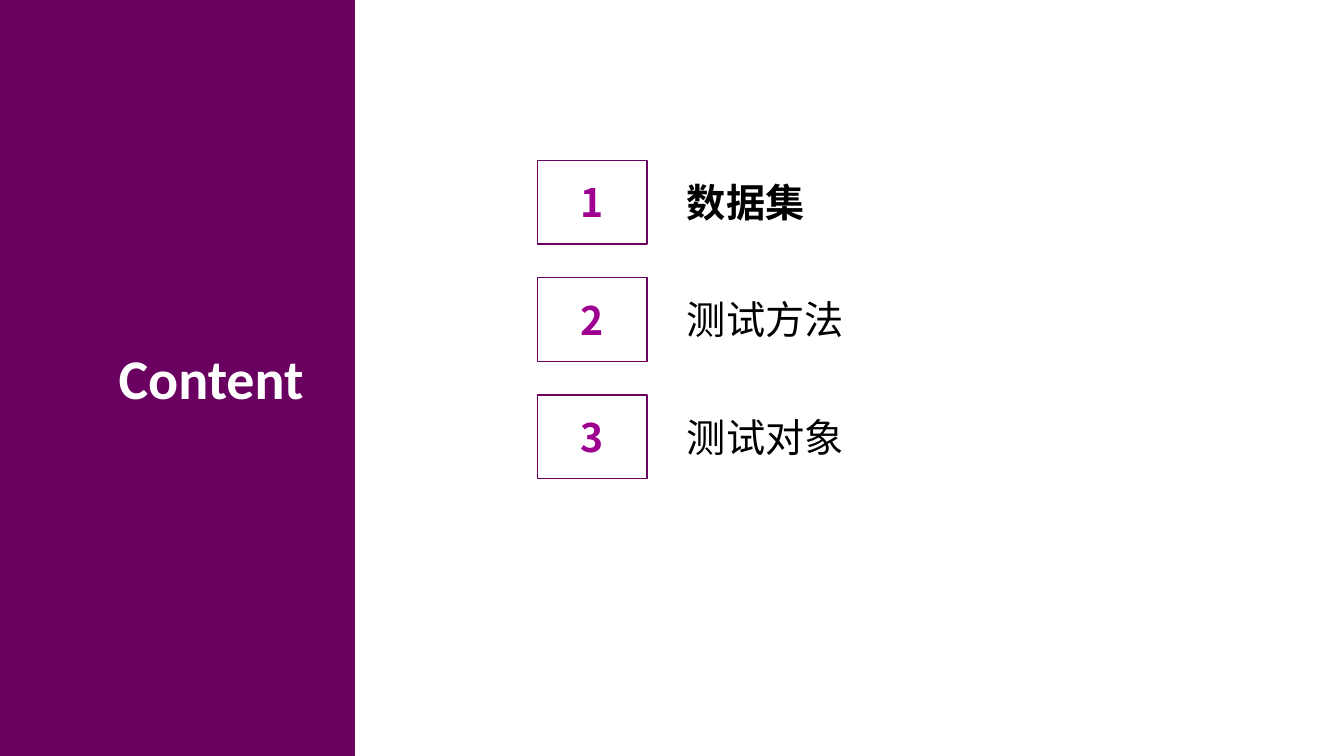
from lxml import etree
from pptx import Presentation
from pptx import util as u
from pptx.dml.color import RGBColor
from pptx.enum import shapes, text
from pptx.oxml import ns

HEADING = "Content"
TOPICS = [("数据集", True), ("测试方法", False), ("测试对象", False)]

THEME = {
    "panel": "6A005F", "number": "9E008F", "topic": "000000", "heading": "FFFFFF",
    "latin": "Calibri", "cjk": "Noto Sans CJK SC",
    "heading_size": 40, "topic_size": 28,
}
SLIDE_W, SLIDE_H = 960, 540
PANEL_W = 253.5
BOX_X, BOX_Y, BOX_W, BOX_H = 383.8, 114.5, 78.5, 59.8
TOPIC_X, TOPIC_W, TOPIC_H = 483.6, 305, 41
ROW_STEP = 83.8


def color(name):
    return RGBColor.from_string(THEME[name])


def write(holder, words, size, font, tint, bold, align, anchor=text.MSO_ANCHOR.TOP):
    frame = holder.text_frame
    frame.text = words
    frame.word_wrap = True
    frame.vertical_anchor = anchor
    paragraph = frame.paragraphs[0]
    paragraph.alignment = align
    run = paragraph.runs[0]
    run.font.size = u.Pt(THEME[size])
    run.font.bold = bold
    run.font.color.rgb = color(tint)
    run.font.name = THEME[font]
    east_asian = etree.SubElement(run._r.get_or_add_rPr(), ns.qn("a:ea"))
    east_asian.set("typeface", THEME[font])


def rectangle(slide, *bounds):
    block = slide.shapes.add_shape(shapes.MSO_SHAPE.RECTANGLE, *map(u.Pt, bounds))
    block.shadow.inherit = False
    return block


def textbox(slide, *bounds):
    return slide.shapes.add_textbox(*map(u.Pt, bounds))


def main():
    deck = Presentation()
    deck.slide_width, deck.slide_height = u.Pt(SLIDE_W), u.Pt(SLIDE_H)
    slide = deck.slides.add_slide(deck.slide_layouts[6])

    panel = rectangle(slide, 0, 0, PANEL_W, SLIDE_H)
    panel.fill.solid()
    panel.fill.fore_color.rgb = color("panel")
    panel.line.fill.background()
    heading = textbox(slide, -0.7, 242, 224.6, 55.4)
    write(heading, HEADING, "heading_size", "latin", "heading", True, text.PP_ALIGN.RIGHT)

    for row, (topic, current) in enumerate(TOPICS):
        top = BOX_Y + row * ROW_STEP
        number = rectangle(slide, BOX_X, top, BOX_W, BOX_H)
        number.fill.background()
        number.line.color.rgb = color("panel")
        number.line.width = u.Pt(1)
        write(number, str(row + 1), "topic_size", "cjk", "number", True,
              text.PP_ALIGN.CENTER, text.MSO_ANCHOR.MIDDLE)
        label = textbox(slide, TOPIC_X, top + (BOX_H - TOPIC_H) / 2, TOPIC_W, TOPIC_H)
        write(label, topic, "topic_size", "cjk", "topic", current, text.PP_ALIGN.LEFT)

    deck.save("out.pptx")


if __name__ == "__main__":
    main()
